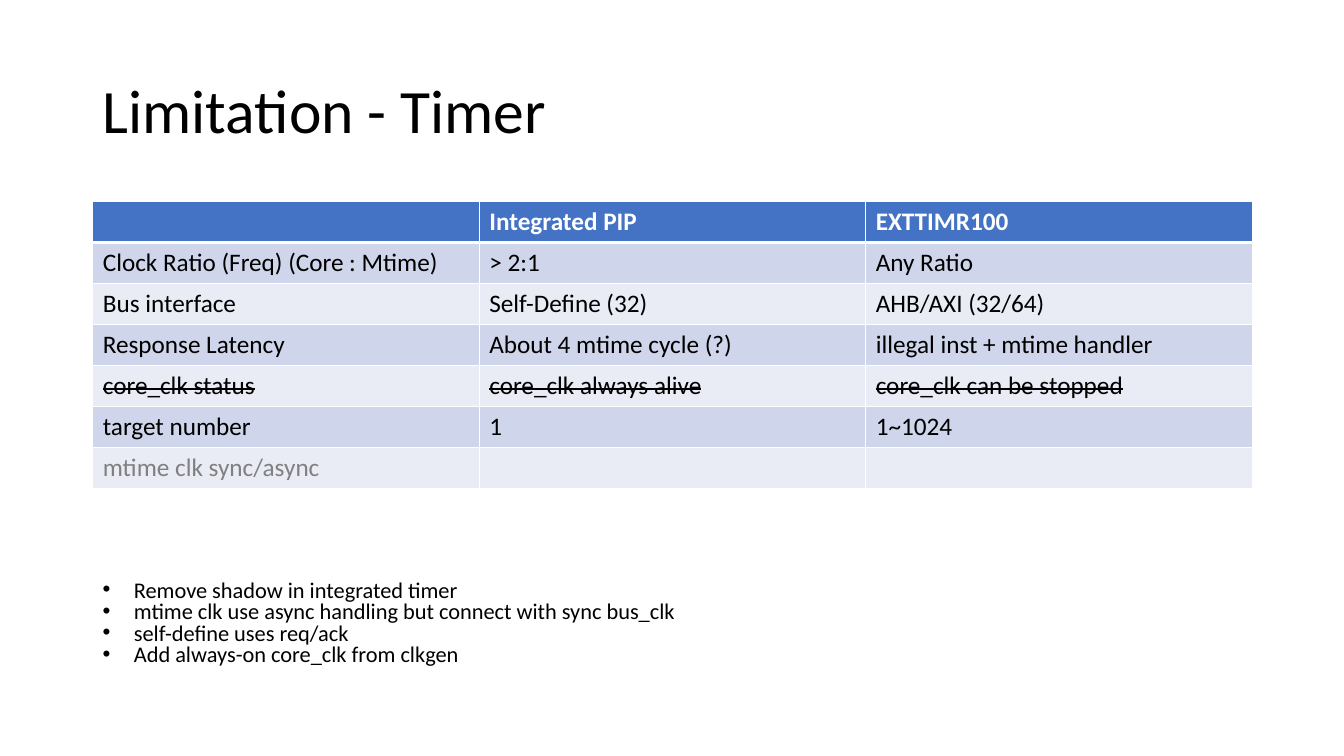
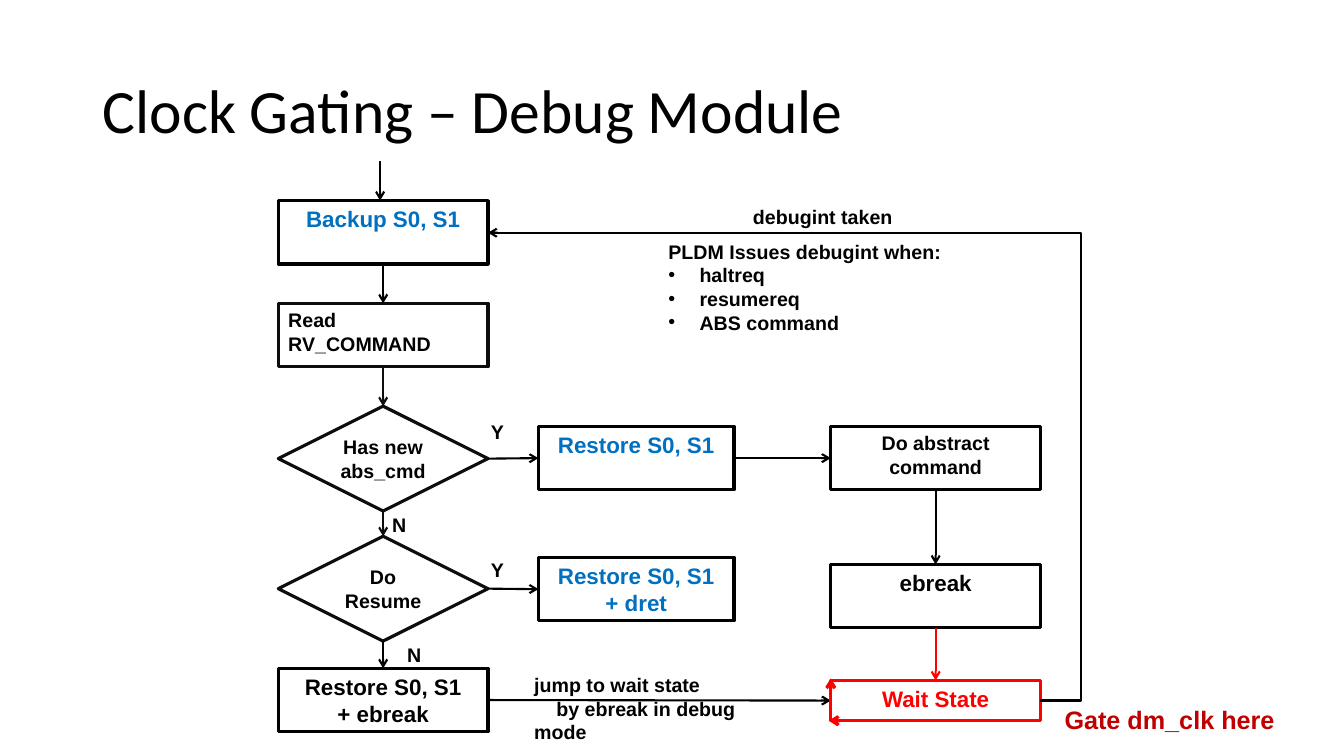
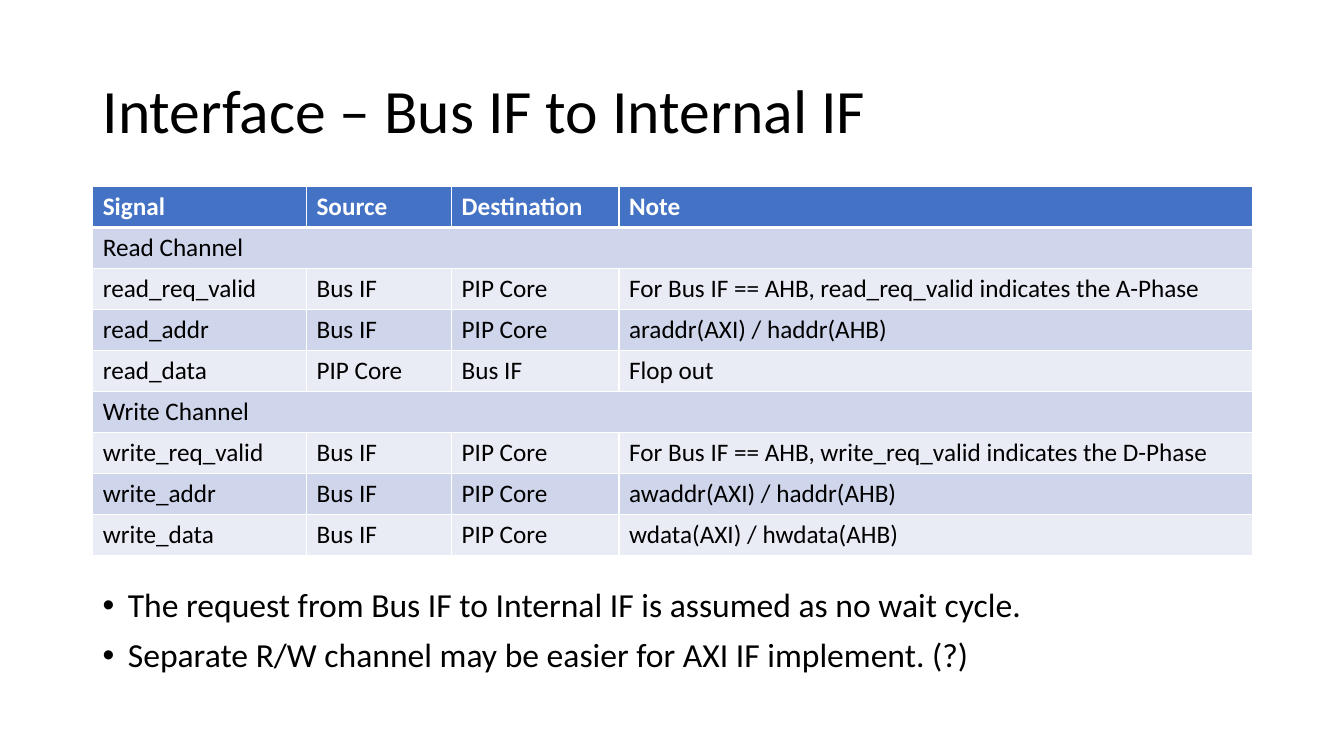
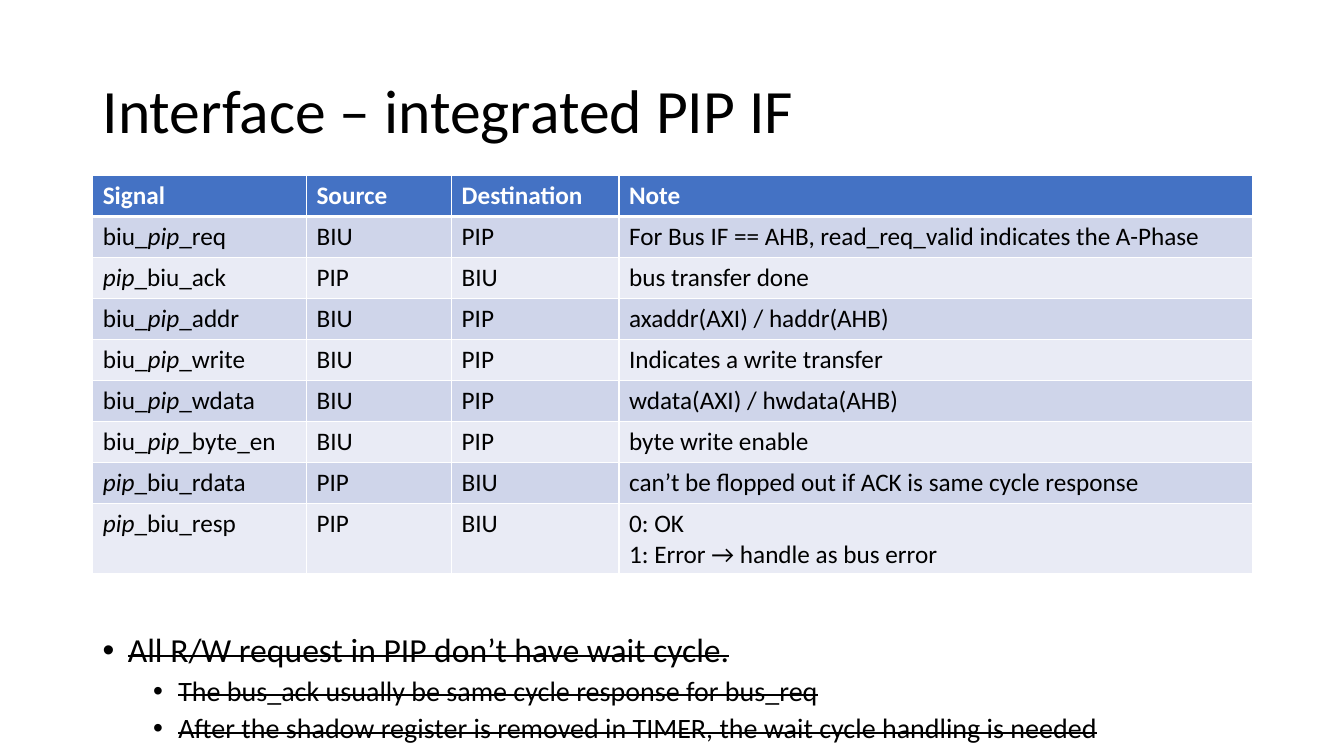
from dataclasses import dataclass
from typing import NamedTuple

from lxml.etree import SubElement
from pptx import Presentation
from pptx.dml.color import RGBColor
from pptx.enum.shapes import MSO_CONNECTOR as Wire, MSO_SHAPE as Form
from pptx.enum.text import MSO_ANCHOR as Anchor, PP_ALIGN as Align
from pptx.oxml.ns import qn
from pptx.util import Inches, Pt

BLACK = RGBColor(0x00, 0x00, 0x00)
WHITE = RGBColor(0xFF, 0xFF, 0xFF)
INK = RGBColor(0x0D, 0x0D, 0x0D)
GRAY = RGBColor(0x80, 0x80, 0x80)
BLUE = RGBColor(0x00, 0x70, 0xC0)
RED = RGBColor(0xFF, 0x00, 0x00)
DARK = RGBColor(0xC0, 0x00, 0x00)
HEAD = RGBColor(0x44, 0x72, 0xC4)
BANDS = RGBColor(0xCF, 0xD5, 0xEA), RGBColor(0xE9, 0xEB, 0xF5)

LEFT, WIDE = 0.92, 11.5
ROW = 0.407
TOP, WEST, BASE, EAST = range(4)


@dataclass(frozen=True)
class Look:
    size: float
    color: RGBColor = BLACK
    font: str = "Calibri"
    bold: bool = False
    strike: bool = False
    align: Align = Align.LEFT
    space: float = 1.0


@dataclass(frozen=True)
class Row:
    cells: tuple[str, ...]
    color: RGBColor = BLACK
    strike: bool = False


class Area(NamedTuple):
    x: float
    y: float
    w: float
    h: float


class Node(NamedTuple):
    name: str
    area: Area
    text: str
    size: float = 16
    color: RGBColor = BLACK
    edge: RGBColor = BLACK
    form: Form = Form.RECTANGLE
    align: Align = Align.CENTER


class Link(NamedTuple):
    start: str
    out: int
    end: str
    into: int
    color: RGBColor = BLACK


class Label(NamedTuple):
    area: Area
    text: str
    size: float = 14
    color: RGBColor = BLACK


TITLE = Look(44, space=0.9)
NOTE = Look(16, space=0.8)
BODY = Look(24, space=0.9)


def style(para, look: Look) -> None:
    para.alignment = look.align
    if look.space != 1.0:
        para.line_spacing = look.space
    for run in para.runs:
        font = run.font
        font.name, font.size, font.bold = look.font, Pt(look.size), look.bold
        font.color.rgb = look.color
        if look.strike:
            font._element.set("strike", "sngStrike")


def write(frame, text: str, look: Look) -> None:
    frame.word_wrap = True
    frame.text = text
    for para in frame.paragraphs:
        style(para, look)


def indent(para, left: float, first: float) -> None:
    props = para._p.get_or_add_pPr()
    props.set("marL", str(Inches(left)))
    props.set("indent", str(Inches(first)))


def bullet(para, left: float, hang: float) -> None:
    indent(para, left, -hang)
    props = para._p.get_or_add_pPr()
    SubElement(props, qn("a:buFont")).set("typeface", "Arial")
    SubElement(props, qn("a:buChar")).set("char", "•")


def add_text(slide, area: Area, text: str, look: Look, anchor: Anchor = Anchor.TOP):
    frame = slide.shapes.add_textbox(*map(Inches, area)).text_frame
    write(frame, text, look)
    frame.vertical_anchor = anchor
    return frame


def add_slide(deck, title: str):
    slide = deck.slides.add_slide(deck.slide_layouts[6])
    add_text(slide, Area(LEFT, 0.4, WIDE, 1.45), title, TITLE, Anchor.MIDDLE)
    return slide


def border(cell, thick: dict[str, float]) -> None:
    props = cell._tc.get_or_add_tcPr()
    for spot, side in enumerate("LRTB"):
        line = SubElement(props, qn(f"a:ln{side}"))
        line.set("w", str(Pt(thick.get(side, 1))))
        paint = SubElement(line, qn("a:solidFill"))
        SubElement(paint, qn("a:srgbClr")).set("val", str(WHITE))
        props.insert(spot, line)


def slant(para, word: str) -> None:
    parts = para.text.partition(word)
    if not parts[1]:
        return
    para.text = ""
    for part in filter(None, parts):
        run = para.add_run()
        run.text = part
        run.font.italic = part == word


def add_table(slide, y: float, cols: tuple[float, ...], rows: list[Row]) -> None:
    size = len(rows), len(cols)
    area = Area(LEFT, y, WIDE, ROW * len(rows))
    table = slide.shapes.add_table(*size, *map(Inches, area)).table
    for col, width in zip(table.columns, cols):
        col.width = Inches(width)
    for r, row in enumerate(rows):
        look = Look(18, WHITE if r == 0 else row.color, bold=r == 0, strike=row.strike)
        thick = {0: {"B": 3}, 1: {"T": 3}}.get(r, {})
        for c in range(len(cols)):
            cell = table.cell(r, c)
            cell.fill.solid()
            cell.fill.fore_color.rgb = HEAD if r == 0 else BANDS[(r - 1) % 2]
            border(cell, thick)
            if c < len(row.cells):
                cell.text_frame.text = row.cells[c]
                for para in cell.text_frame.paragraphs:
                    slant(para, "pip")
                    style(para, look)
        if len(row.cells) == 1:
            table.cell(r, 0).merge(table.cell(r, len(cols) - 1))


def add_node(slide, node: Node):
    shape = slide.shapes.add_shape(node.form, *map(Inches, node.area))
    shape.shadow.inherit = False
    shape.fill.background()
    shape.line.color.rgb = node.edge
    shape.line.width = Pt(2.25)
    frame = shape.text_frame
    write(frame, node.text, Look(node.size, node.color, "Arial", True, align=node.align))
    frame.vertical_anchor = Anchor.TOP
    if node.form == Form.FLOWCHART_DECISION:
        frame.vertical_anchor = Anchor.MIDDLE
        frame.margin_left = frame.margin_right = 0
        frame.margin_top = frame.margin_bottom = 0
    return shape


def add_arrow(slide, ends: tuple[float, ...], color: RGBColor = BLACK,
              width: float = 1.5, kind: Wire = Wire.STRAIGHT):
    wire = slide.shapes.add_connector(kind, *map(Inches, ends))
    wire.line.color.rgb = color
    wire.line.width = Pt(width)
    props = wire.element.spPr
    SubElement(props.find(qn("a:ln")), qn("a:tailEnd")).set("type", "arrow")
    SubElement(props, qn("a:effectLst"))
    return wire


def bend(wire, share: float) -> None:
    shape = wire.element.spPr.find(qn("a:prstGeom"))
    guides = shape.find(qn("a:avLst"))
    if guides is None:
        guides = SubElement(shape, qn("a:avLst"))
    guide = SubElement(guides, qn("a:gd"))
    guide.set("name", "adj1")
    guide.set("fmla", f"val {round(share * 100000)}")


def draw_timer(deck) -> None:
    slide = add_slide(deck, "Limitation - Timer")
    add_table(slide, 2, (WIDE / 3,) * 3, [
        Row(("", "Integrated PIP", "EXTTIMR100")),
        Row(("Clock Ratio (Freq) (Core : Mtime)", "> 2:1", "Any Ratio")),
        Row(("Bus interface", "Self-Define (32)", "AHB/AXI (32/64)")),
        Row(("Response Latency", "About 4 mtime cycle (?)", "illegal inst + mtime handler")),
        Row(("core_clk status", "core_clk always alive", "core_clk can be stopped"), strike=True),
        Row(("target number", "1", "1~1024")),
        Row(("mtime clk sync/async", "", ""), GRAY),
    ])
    notes = "\n".join((
        "Remove shadow in integrated timer",
        "mtime clk use async handling but connect with sync bus_clk",
        "self-define uses req/ack",
        "Add always-on core_clk from clkgen",
    ))
    frame = add_text(slide, Area(LEFT, 5.68, WIDE, 1.02), notes, NOTE, Anchor.MIDDLE)
    for para in frame.paragraphs:
        bullet(para, 0.31, 0.31)


def draw_debug(deck) -> None:
    slide = add_slide(deck, "Clock Gating – Debug Module")
    x1, x2, x3 = 2.76, 5.34, 8.24
    wide, mid, high, tall = 2.08, 1.94, 0.63, 1.04
    test = Form.FLOWCHART_DECISION
    nodes = [
        Node("backup", Area(x1, 1.99, wide, high), "Backup S0, S1", color=BLUE),
        Node("read", Area(x1, 3.01, wide, high), "Read RV_COMMAND", 14,
             edge=INK, align=Align.LEFT),
        Node("new", Area(x1, 4.03, wide, tall), "Has new abs_cmd", 14, edge=INK, form=test),
        Node("resume", Area(x1, 5.32, wide, tall), "Do\nResume", 14, edge=INK, form=test),
        Node("leave", Area(x1, 6.63, wide, high), "Restore S0, S1\n+ ebreak"),
        Node("restore", Area(x2, 4.23, mid, high), "Restore S0, S1", color=BLUE),
        Node("dret", Area(x2, 5.53, mid, high), "Restore S0, S1\n+ dret", color=BLUE),
        Node("command", Area(x3, 4.23, wide, high), "Do abstract command", 14),
        Node("ebreak", Area(x3, 5.6, wide, high), "ebreak"),
        Node("wait", Area(x3, 6.75, wide, 0.4), "Wait State", color=RED, edge=RED),
    ]
    shapes = {node.name: add_node(slide, node) for node in nodes}
    links = [
        Link("backup", BASE, "read", TOP),
        Link("read", BASE, "new", TOP, INK),
        Link("new", BASE, "resume", TOP, INK),
        Link("resume", BASE, "leave", TOP),
        Link("new", EAST, "restore", WEST),
        Link("resume", EAST, "dret", WEST),
        Link("restore", EAST, "command", WEST),
        Link("command", BASE, "ebreak", TOP),
        Link("ebreak", BASE, "wait", TOP, RED),
        Link("leave", EAST, "wait", WEST),
    ]
    for link in links:
        wire = add_arrow(slide, (0, 0, 1, 1), link.color)
        wire.begin_connect(shapes[link.start], link.out)
        wire.end_connect(shapes[link.end], link.into)
    add_arrow(slide, (3.77, 1.6, 3.77, 1.99))
    add_arrow(slide, (x3, 7.15, x3, 6.73), RED, 2.25)
    add_arrow(slide, (8.54, 7.15, 8.22, 7.15), RED, 2.25)
    bend(add_arrow(slide, (10.32, 6.95, 4.84, 2.31), kind=Wire.ELBOW), -0.073)

    labels = [
        Label(Area(4.77, 4.12, 0.51, 0.42), "Y"),
        Label(Area(4.77, 5.49, 0.51, 0.42), "Y"),
        Label(Area(3.94, 6.33, 0.51, 0.42), "N"),
        Label(Area(3.79, 5.04, 0.51, 0.42), "N"),
        Label(Area(7.37, 1.98, 1.9, 0.32), "debugint taken"),
        Label(Area(10.46, 6.94, 2.4, 0.4), "Gate dm_clk here", 18, DARK),
        Label(Area(6.53, 2.33, 3.24, 1.08),
              "PLDM Issues debugint when:\nhaltreq\nresumereq\nABS command"),
        Label(Area(5.2, 6.63, 2.6, 0.48), "jump to wait state\nby ebreak in debug mode"),
    ]
    frames = [add_text(slide, label.area, label.text,
                       Look(label.size, label.color, "Arial", True)) for label in labels]
    issue, jump = frames[-2:]
    for para in issue.paragraphs[1:]:
        bullet(para, 0.31, 0.31)
    indent(jump.paragraphs[1], 0, 0.22)


SIGNAL = Row(("Signal", "Source", "Destination", "Note"))
COLS = 2.12, 1.44, 1.66, 6.28


def draw_bus(deck) -> None:
    slide = add_slide(deck, "Interface – Bus IF to Internal IF")
    bus, core = "Bus IF", "PIP Core"
    add_table(slide, 1.85, COLS, [
        SIGNAL,
        Row(("Read Channel",)),
        Row(("read_req_valid", bus, core,
             "For Bus IF == AHB, read_req_valid indicates the A-Phase")),
        Row(("read_addr", bus, core, "araddr(AXI) / haddr(AHB)")),
        Row(("read_data", core, bus, "Flop out")),
        Row(("Write Channel",)),
        Row(("write_req_valid", bus, core,
             "For Bus IF == AHB, write_req_valid indicates the D-Phase")),
        Row(("write_addr", bus, core, "awaddr(AXI) / haddr(AHB)")),
        Row(("write_data", bus, core, "wdata(AXI) / hwdata(AHB)")),
    ])
    text = ("The request from Bus IF to Internal IF is assumed as no wait cycle.\n"
            "Separate R/W channel may be easier for AXI IF implement. (?)")
    frame = add_text(slide, Area(LEFT, 5.79, WIDE, 1.16), text, BODY)
    for para in frame.paragraphs:
        bullet(para, 0.25, 0.25)
    frame.paragraphs[1].space_before = Pt(10)


def draw_pip(deck) -> None:
    slide = add_slide(deck, "Interface – integrated PIP IF")
    biu, pip = "BIU", "PIP"
    add_table(slide, 1.74, COLS, [
        SIGNAL,
        Row(("biu_pip_req", biu, pip,
             "For Bus IF == AHB, read_req_valid indicates the A-Phase")),
        Row(("pip_biu_ack", pip, biu, "bus transfer done")),
        Row(("biu_pip_addr", biu, pip, "axaddr(AXI) / haddr(AHB)")),
        Row(("biu_pip_write", biu, pip, "Indicates a write transfer")),
        Row(("biu_pip_wdata", biu, pip, "wdata(AXI) / hwdata(AHB)")),
        Row(("biu_pip_byte_en", biu, pip, "byte write enable")),
        Row(("pip_biu_rdata", pip, biu,
             "can’t be flopped out if ACK is same cycle response")),
        Row(("pip_biu_resp", pip, biu, "0: OK\n1: Error → handle as bus error")),
    ])
    text = ("All R/W request in PIP don’t have wait cycle.\n"
            "The bus_ack usually be same cycle response for bus_req\n"
            "After the shadow register is removed in TIMER, the wait cycle handling is needed")
    look = Look(24, strike=True, space=0.9)
    frame = add_text(slide, Area(LEFT, 6.24, WIDE, 1.26), text, look)
    first, *rest = frame.paragraphs
    bullet(first, 0.25, 0.25)
    for para in rest:
        para.level = 1
        para.space_before = Pt(5)
        bullet(para, 0.75, 0.25)
        for run in para.runs:
            run.font.size = Pt(20)


def main() -> None:
    deck = Presentation()
    deck.slide_width, deck.slide_height = Inches(13.33), Inches(7.5)
    for draw in (draw_timer, draw_debug, draw_bus, draw_pip):
        draw(deck)
    deck.save("out.pptx")


if __name__ == "__main__":
    main()
